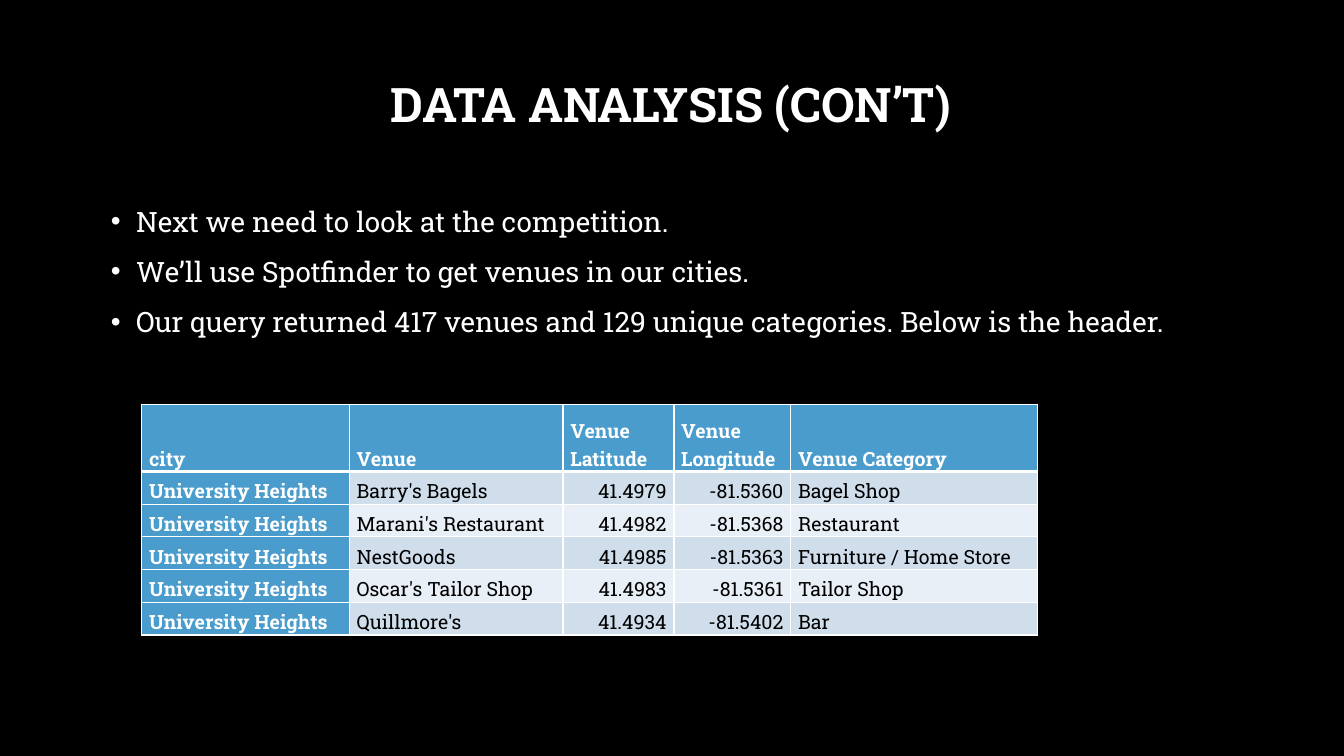
from dataclasses import dataclass

from lxml.etree import SubElement
from pptx import Presentation
from pptx.dml.color import RGBColor
from pptx.enum.text import MSO_ANCHOR, MSO_AUTO_SIZE, PP_ALIGN
from pptx.oxml import parse_xml
from pptx.oxml.ns import nsdecls, qn
from pptx.util import Pt


@dataclass(frozen=True)
class Theme:
    font: str = "Roboto Slab"
    black: str = "000000"
    white: str = "FFFFFF"
    header: str = "4A9CCC"
    bands: tuple = ("D0DEEC", "E9EFF6")
    title_size: int = 34
    body_size: int = 20
    table_size: int = 14


theme = Theme()


def write(para, text, size, color=theme.white, bold=False,
          align=PP_ALIGN.LEFT, line_spacing=1.0, before=0):
    para.alignment = align
    para.line_spacing = line_spacing
    para.space_before = Pt(before)
    span = para.add_run()
    span.text = text
    span.font.name = theme.font
    span.font.size = Pt(size)
    span.font.bold = bold
    span.font.color.rgb = RGBColor.from_string(color)


def set_borders(cell, **widths):
    # Border lines must precede the fill in the cell properties
    properties = cell._tc.get_or_add_tcPr()
    for index, (side, width) in enumerate(widths.items()):
        line = parse_xml(f'<a:{side} {nsdecls("a")} w="{Pt(width)}"/>')
        fill = SubElement(line, qn("a:solidFill"))
        SubElement(fill, qn("a:srgbClr"), val=theme.white)
        properties.insert(index, line)


# Deck and black page
deck = Presentation()
deck.slide_width, deck.slide_height = Pt(960), Pt(540)
page = deck.slides.add_slide(deck.slide_layouts[1])
page.background.fill.solid()
page.background.fill.fore_color.rgb = RGBColor.from_string(theme.black)

# Title and body placeholders
title, body = page.shapes.title, page.placeholders[1]
for box, top, height, anchor in (
    (title, 48.2, 56.2, MSO_ANCHOR.MIDDLE),
    (body, 140.4, 139.7, MSO_ANCHOR.TOP),
):
    box.left, box.top, box.width, box.height = Pt(72), Pt(top), Pt(815), Pt(height)
    box.text_frame.word_wrap = True
    box.text_frame.auto_size = MSO_AUTO_SIZE.NONE
    box.text_frame.vertical_anchor = anchor

write(title.text_frame.paragraphs[0], "DATA ANALYSIS (CON’T)", theme.title_size,
      bold=True, align=PP_ALIGN.CENTER, line_spacing=0.9)

# Bulleted list
points = (
    "Next we need to look at the competition.",
    "We’ll use Spotfinder to get venues in our cities.",
    "Our query returned 417 venues and 129 unique categories. Below is the header.",
)
for index, point in enumerate(points):
    frame = body.text_frame
    para = frame.add_paragraph() if index else frame.paragraphs[0]
    write(para, point, theme.body_size, line_spacing=1.08, before=10)
    indents = para._p.get_or_add_pPr()
    indents.set("marL", str(Pt(18)))
    indents.set("indent", str(-Pt(18)))

# Venue table
city = "University Heights"
venues = (
    ("city", "Venue", "Venue Latitude", "Venue Longitude", "Venue Category"),
    (city, "Barry's Bagels", "41.4979", "-81.5360", "Bagel Shop"),
    (city, "Marani's Restaurant", "41.4982", "-81.5368", "Restaurant"),
    (city, "NestGoods", "41.4985", "-81.5363", "Furniture / Home Store"),
    (city, "Oscar's Tailor Shop", "41.4983", "-81.5361", "Tailor Shop"),
    (city, "Quillmore's", "41.4934", "-81.5402", "Bar"),
)
column_widths = (148.3, 152.6, 79.2, 83.5, 176.4)
row_heights = (48,) + (23.4,) * 5
table = page.shapes.add_table(
    len(row_heights), len(column_widths), Pt(101.3), Pt(288.7),
    Pt(sum(column_widths)), Pt(sum(row_heights))).table
table.first_col = True
for column, width in zip(table.columns, column_widths):
    column.width = Pt(width)
for row, height in zip(table.rows, row_heights):
    row.height = Pt(height)

for row_index, venue in enumerate(venues):
    for column_index, text in enumerate(venue):
        is_header = row_index == 0 or column_index == 0
        is_number = row_index > 0 and column_index in (2, 3)
        cell = table.cell(row_index, column_index)
        cell.vertical_anchor = MSO_ANCHOR.BOTTOM
        cell.margin_left = cell.margin_right = Pt(5.2)
        cell.margin_top = cell.margin_bottom = Pt(0)
        cell.fill.solid()
        cell.fill.fore_color.rgb = RGBColor.from_string(
            theme.header if is_header else theme.bands[(row_index - 1) % 2])
        set_borders(cell, lnL=1, lnR=1, lnT=3 if row_index == 1 else 1,
                    lnB=3 if row_index == 0 else 1)
        write(cell.text_frame.paragraphs[0], text, theme.table_size,
              color=theme.white if is_header else theme.black, bold=is_header,
              align=PP_ALIGN.RIGHT if is_number else PP_ALIGN.LEFT,
              line_spacing=1.07)

deck.save("out.pptx")
